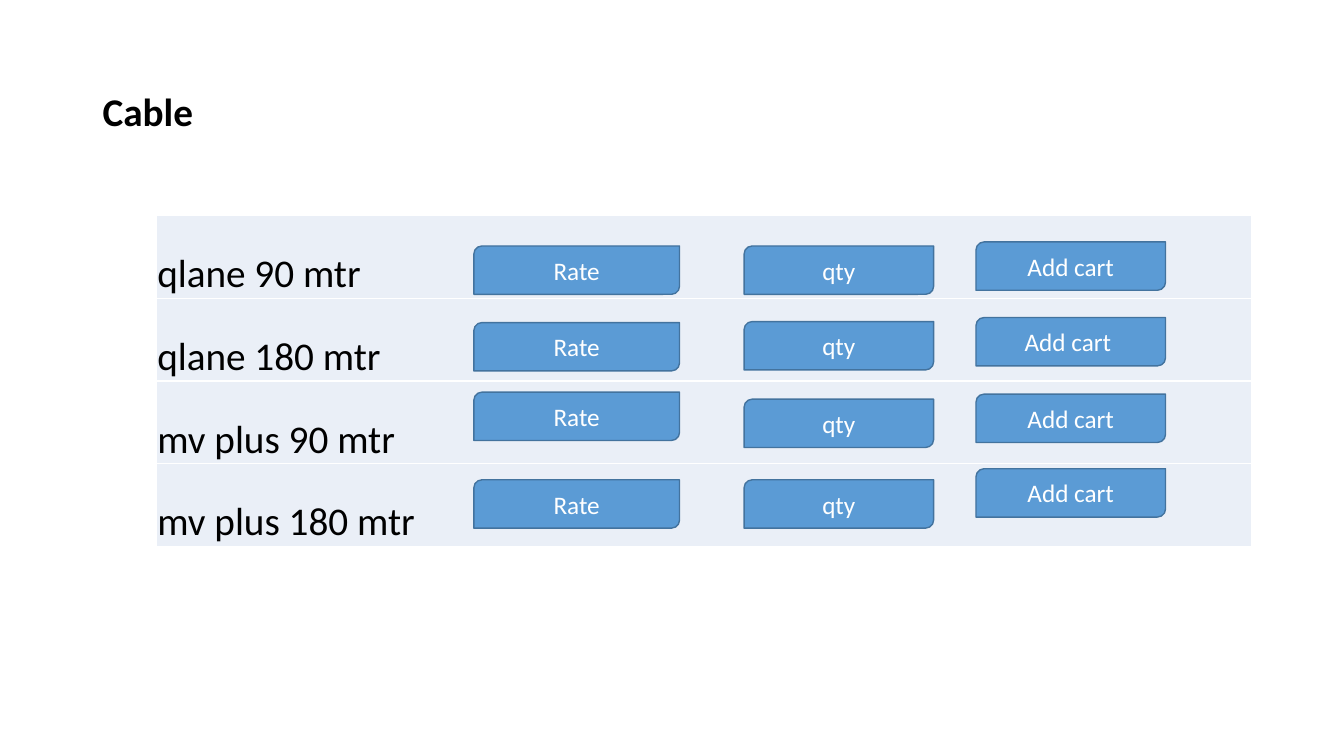
from lxml.etree import SubElement
from pptx import Presentation
from pptx.dml.color import RGBColor
from pptx.enum.shapes import MSO_SHAPE
from pptx.enum.text import MSO_ANCHOR, PP_ALIGN
from pptx.oxml.ns import qn
from pptx.util import Emu, Pt

EMU_PER_PX = 9144
FONT = "Calibri"
BLACK = RGBColor(0x00, 0x00, 0x00)
WHITE = RGBColor(0xFF, 0xFF, 0xFF)
ROW_FILL = RGBColor(0xEA, 0xEF, 0xF7)
BUTTON_FILL = RGBColor(0x5B, 0x9B, 0xD5)
BUTTON_LINE = RGBColor(0x43, 0x73, 0x9E)

CABLES = ["qlane 90 mtr", "qlane 180 mtr", "mv plus 90 mtr", "mv plus 180 mtr"]
BUTTON_HEIGHT = 48
BUTTON_COLUMNS = [
    (315, 204, ["Rate"] * 4, [30, 106, 175, 262]),
    (583, 188, ["qty"] * 4, [30, 105, 182, 262]),
    (813, 188, ["Add cart", "Add cart ", "Add cart", "Add cart"], [26, 101, 177, 251]),
]


def px(length):
    return Emu(length * EMU_PER_PX)


def format_text(text_frame, size, color, bold=False):
    for paragraph in text_frame.paragraphs:
        for run in paragraph.runs:
            run.font.name = FONT
            run.font.size = Pt(size)
            run.font.bold = bold
            run.font.color.rgb = color


def add_title(slide, left, top, width, height):
    shape = slide.shapes.add_textbox(px(left), px(top), px(width), px(height))
    frame = shape.text_frame
    frame.word_wrap = True
    frame.vertical_anchor = MSO_ANCHOR.MIDDLE
    frame.text = "Cable"
    frame.paragraphs[0].line_spacing = 0.9
    format_text(frame, 28, BLACK, bold=True)


def add_borders(cell):
    properties = cell._tc.get_or_add_tcPr()
    for side in ("a:lnL", "a:lnR", "a:lnT", "a:lnB"):
        line = SubElement(properties, qn(side), w=str(Pt(1)))
        fill = SubElement(line, qn("a:solidFill"))
        SubElement(fill, qn("a:srgbClr"), val=str(WHITE))


def add_cable_table(slide, left, top, width, height):
    table = slide.shapes.add_table(
        len(CABLES), 1, px(left), px(top), px(width), px(height)
    ).table
    table.first_row = False
    table.horz_banding = False
    for row, cable in enumerate(CABLES):
        cell = table.cell(row, 0)
        cell.text = cable
        cell.vertical_anchor = MSO_ANCHOR.BOTTOM
        cell.margin_left = cell.margin_right = cell.margin_top = px(1)
        cell.margin_bottom = 0
        format_text(cell.text_frame, 28, BLACK)
        add_borders(cell)
        cell.fill.solid()
        cell.fill.fore_color.rgb = ROW_FILL


def add_button(slide, label, left, top, width, height):
    shape = slide.shapes.add_shape(
        MSO_SHAPE.ROUND_2_DIAG_RECTANGLE, px(left), px(top), px(width), px(height)
    )
    shape.shadow.inherit = False
    shape.fill.solid()
    shape.fill.fore_color.rgb = BUTTON_FILL
    shape.line.color.rgb = BUTTON_LINE
    shape.line.width = Pt(1)
    frame = shape.text_frame
    frame.text = label
    frame.vertical_anchor = MSO_ANCHOR.MIDDLE
    frame.paragraphs[0].alignment = PP_ALIGN.CENTER
    format_text(frame, 18, WHITE)


def add_order_list(slide, left, top, width, height):
    add_cable_table(slide, left, top, width, height)
    for column_left, column_width, labels, tops in BUTTON_COLUMNS:
        for label, button_top in zip(labels, tops):
            add_button(slide, label, left + column_left, top + button_top,
                       column_width, BUTTON_HEIGHT)


def main():
    presentation = Presentation()
    presentation.slide_width = px(1333)
    presentation.slide_height = px(750)
    slide = presentation.slides.add_slide(presentation.slide_layouts[6])
    add_title(slide, 92, 40, 1150, 145)
    add_order_list(slide, 155, 214, 1086, 328)
    presentation.save("out.pptx")


if __name__ == "__main__":
    main()
